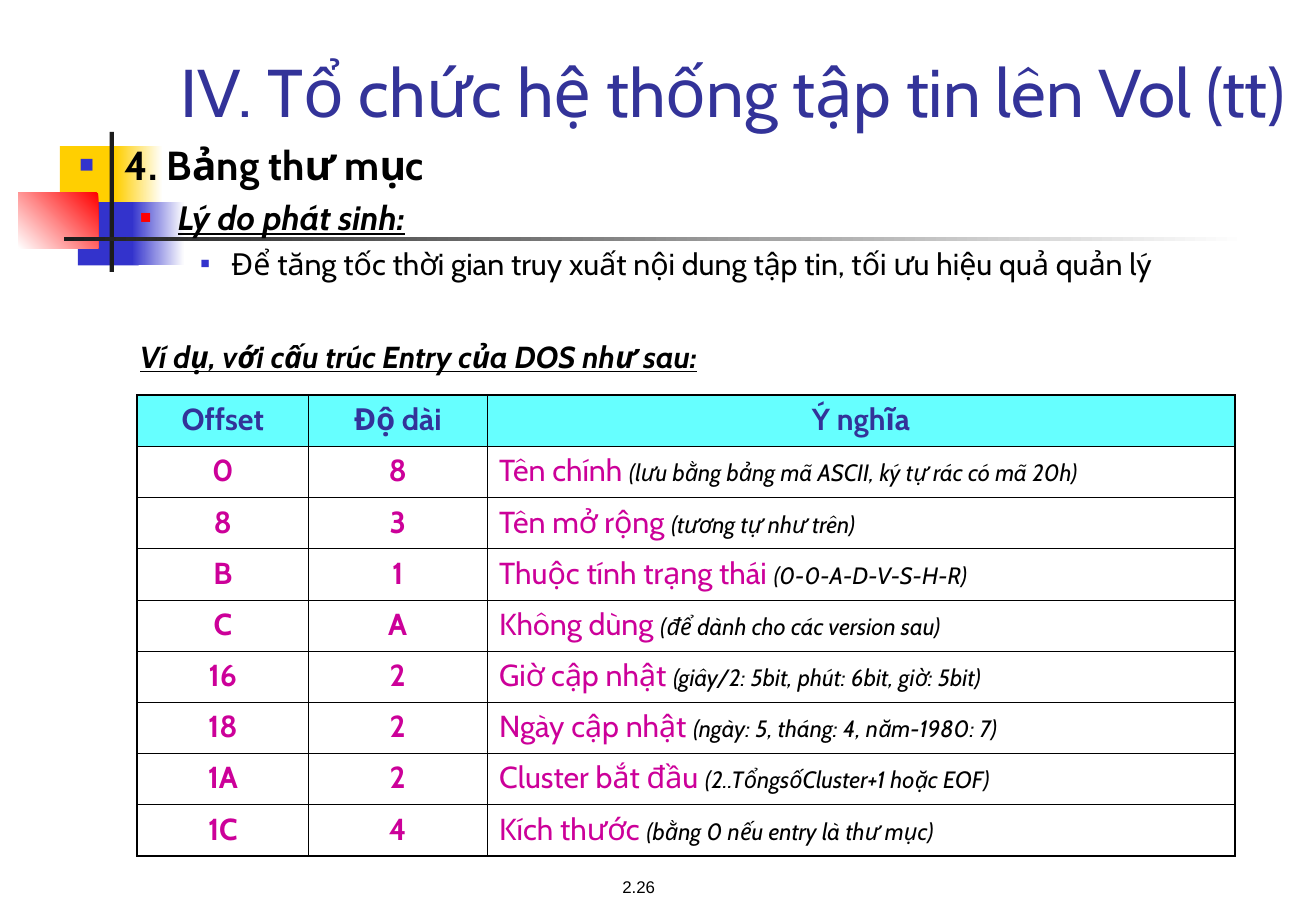
from lxml.etree import SubElement
from pptx import Presentation
from pptx.dml.color import RGBColor
from pptx.enum.shapes import MSO_SHAPE as Shape
from pptx.enum.text import MSO_ANCHOR as Anchor, MSO_AUTO_SIZE as Fit, PP_ALIGN as Align
from pptx.oxml.ns import qn
from pptx.util import Pt

WHITE = RGBColor(0xFF, 0xFF, 0xFF)
BLACK = RGBColor(0, 0, 0)
DARK = RGBColor(0x1C, 0x1C, 0x1C)
GOLD = RGBColor(0xFF, 0xCF, 0x01)
BLUE = RGBColor(0x33, 0x33, 0xCC)
NAVY = RGBColor(0x33, 0x33, 0x99)
RED = RGBColor(0xFF, 0, 0)
CYAN = RGBColor(0x66, 0xFF, 0xFF)
PINK = RGBColor(0xCC, 0, 0x99)

TITLE = "IV. Tổ chức hệ thống tập tin lên Vol (tt)"
PAGE = "2.26"
HEAVY = {"bold": True, "italic": True, "underline": True}

# text, text format, left margin, hanging indent, space before, bullet (colour, percent)
OUTLINE = [
    ("4. Bảng thư mục", {"size": 24, "bold": True}, 27, 27, 0, (BLUE, 60)),
    ("Lý do phát sinh:", {"size": 20, **HEAVY}, 58.5, 22.5, 5, (RED, 55)),
    ("Để tăng tốc thời gian truy xuất nội dung tập tin, tối ưu hiệu quả quản lý",
     {"align": Align.JUSTIFY}, 90, 18, 4.5, (BLUE, 50)),
    ("Ví dụ, với cấu trúc Entry của DOS như sau:", HEAVY, 58.5, 22.5, 33.5, None),
]

HEADS = ["Offset", "Độ dài", "Ý nghĩa"]
ENTRIES = [
    ("0", "8", "Tên chính ", "(lưu bằng bảng mã ASCII, ký tự rác có mã 20h)"),
    ("8", "3", "Tên mở rộng ", "(tương tự như trên)"),
    ("B", "1", "Thuộc tính trạng thái ", "(0-0-A-D-V-S-H-R)"),
    ("C", "A", "Không dùng ", "(để dành cho các version sau)"),
    ("16", "2", "Giờ cập nhật ", "(giây/2: 5bit, phút: 6bit, giờ: 5bit)"),
    ("18", "2", "Ngày cập nhật ", "(ngày: 5, tháng: 4, năm-1980: 7)"),
    ("1A", "2", "Cluster bắt đầu ", "(2..TổngsốCluster+1 hoặc EOF)"),
    ("1C", "4", "Kích thước ", "(bằng 0 nếu entry là thư mục)"),
]
WIDTHS = [101.5, 106, 443.5]
ROW = 30.35
THICK, THIN = 1.08, 0.45

# left, top, width, height, fill: one colour, or (start, end, angle)
DECOR = [
    (35.5, 86.6, 37.5, 37.5, GOLD),
    (68.5, 86.6, 28, 37.5, (WHITE, GOLD, 180)),
    (46.2, 119.8, 36, 37.5, BLUE),
    (78, 119.8, 31.5, 37.5, (WHITE, BLUE, 180)),
    (10.8, 114.2, 47.5, 33, (RED, WHITE, 225)),
    (65, 78.2, 2.6, 83, DARK),
    (37.8, 140.5, 702, 2.3, (WHITE, DARK, 180)),
]


def write(para, text, size=18, color=BLACK, font="Cabin", align=Align.LEFT,
          bold=False, italic=False, underline=False):
    para.alignment = align
    run = para.add_run()
    run.text = text
    face = run.font
    face.name, face.size, face.color.rgb = font, Pt(size), color
    face.bold, face.italic, face.underline = bold, italic, underline


def indent(para, left, hang, bullet):
    props = para._p.get_or_add_pPr()
    props.set("marL", str(Pt(left)))
    props.set("indent", str(-Pt(hang)))
    if bullet:
        color, percent = bullet
        tint = SubElement(props, qn("a:buClr"))
        SubElement(tint, qn("a:srgbClr"), val=str(color))
        SubElement(props, qn("a:buSzPct"), val=str(percent * 1000))
        SubElement(props, qn("a:buFont"), typeface="Arial")
        SubElement(props, qn("a:buChar"), char="■")


def border(cell, **sides):
    """Draw black cell edges; sides maps L, R, T, B to line widths."""
    props = cell._tc.get_or_add_tcPr()
    for side, width in sides.items():
        edge = SubElement(props, qn("a:ln" + side), w=str(Pt(width)))
        fill = SubElement(edge, qn("a:solidFill"))
        SubElement(fill, qn("a:srgbClr"), val=str(BLACK))


def decorate(slide):
    for left, top, width, height, paint in DECOR:
        block = slide.shapes.add_shape(
            Shape.RECTANGLE, Pt(left), Pt(top), Pt(width), Pt(height))
        block.shadow.inherit = False
        block.line.fill.background()
        if isinstance(paint, RGBColor):
            block.fill.solid()
            block.fill.fore_color.rgb = paint
        else:
            block.fill.gradient()
            block.fill.gradient_angle = paint[2]
            for stop, color in zip(block.fill.gradient_stops, paint):
                stop.color.rgb = color


def add_title(slide):
    title = slide.shapes.title
    title.left, title.top, title.width, title.height = Pt(100), Pt(15), Pt(680), Pt(66.5)
    frame = title.text_frame
    frame.auto_size = Fit.NONE
    frame.vertical_anchor = Anchor.BOTTOM
    write(frame.paragraphs[0], TITLE, size=40, color=NAVY)


def add_outline(slide):
    frame = slide.shapes.add_textbox(Pt(40), Pt(79.5), Pt(740), Pt(152)).text_frame
    frame.word_wrap = True
    for i, (text, style, left, hang, gap, bullet) in enumerate(OUTLINE):
        para = frame.add_paragraph() if i else frame.paragraphs[0]
        para.space_before = Pt(gap)
        indent(para, left, hang, bullet)
        write(para, text, **style)


def add_entries(slide):
    count = len(ENTRIES) + 1
    table = slide.shapes.add_table(
        count, len(HEADS), Pt(81.4), Pt(234.3), Pt(sum(WIDTHS)), Pt(ROW * count)).table
    table.first_row = table.horz_banding = False
    for col, width in zip(table.columns, WIDTHS):
        col.width = Pt(width)
    last = len(HEADS) - 1
    for r, entry in enumerate([HEADS, *ENTRIES]):
        table.rows[r].height = Pt(ROW)
        for c in range(len(HEADS)):
            cell = table.cell(r, c)
            border(cell, L=THIN if c else THICK, R=THICK if c == last else THIN,
                   T=THIN if r else THICK, B=THICK if r == count - 1 else THIN)
            para = cell.text_frame.paragraphs[0]
            if r == 0:
                cell.fill.solid()
                cell.fill.fore_color.rgb = CYAN
            else:
                cell.fill.background()
            if r and c == last:
                write(para, entry[c], color=PINK)
                write(para, entry[c + 1], size=14, italic=True)
            else:
                write(para, entry[c], color=PINK if r else NAVY,
                      bold=True, align=Align.CENTER)


def main():
    deck = Presentation()
    deck.slide_width = Pt(780.48)
    deck.slide_height = Pt(540)
    slide = deck.slides.add_slide(deck.slide_layouts[5])
    decorate(slide)
    add_title(slide)
    add_outline(slide)
    add_entries(slide)
    page = slide.shapes.add_textbox(Pt(345), Pt(516), Pt(67.5), Pt(19.5)).text_frame
    page.vertical_anchor = Anchor.MIDDLE
    write(page.paragraphs[0], PAGE, size=10, font="Arial", align=Align.CENTER)
    deck.save("out.pptx")


if __name__ == "__main__":
    main()
